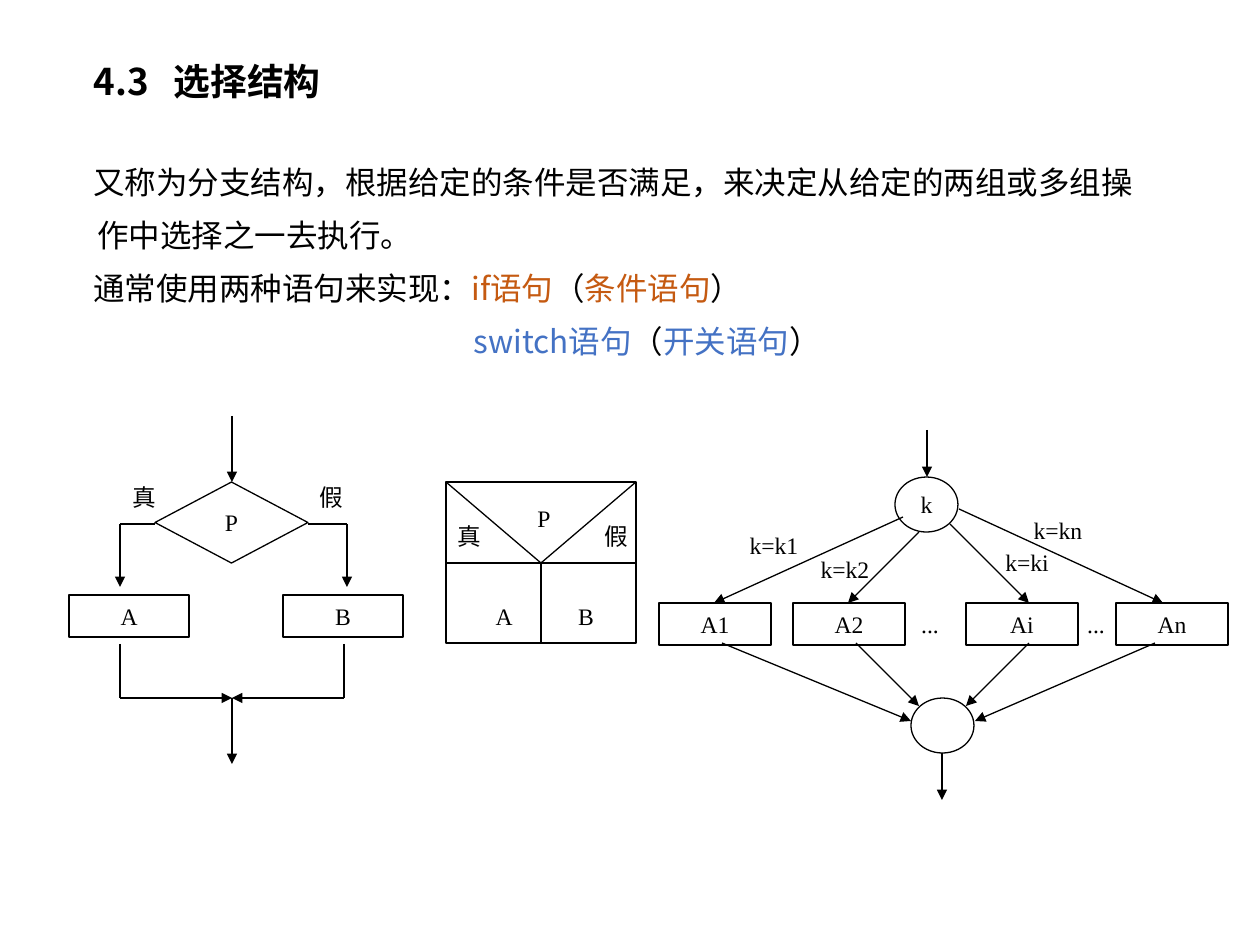
"""Builds the slide on selection structures with its three flow diagrams."""
from dataclasses import dataclass

from lxml import etree
from pptx import Presentation
from pptx.dml.color import RGBColor
from pptx.enum.shapes import MSO_CONNECTOR, MSO_SHAPE
from pptx.enum.text import MSO_ANCHOR, MSO_AUTO_SIZE, PP_ALIGN
from pptx.oxml.ns import qn
from pptx.util import Emu, Pt

RECT = MSO_SHAPE.RECTANGLE
DECISION = MSO_SHAPE.FLOWCHART_DECISION
CIRCLE = MSO_SHAPE.FLOWCHART_CONNECTOR
STRAIGHT = MSO_CONNECTOR.STRAIGHT
MIDDLE, TOP = MSO_ANCHOR.MIDDLE, MSO_ANCHOR.TOP
LEFT, CENTER = PP_ALIGN.LEFT, PP_ALIGN.CENTER
NO_FIT = MSO_AUTO_SIZE.NONE

SANS = "Noto Sans CJK SC"
SERIF = "Times New Roman"
COLORS = {"ink": "000000", "paper": "FFFFFF", "if": "C55A11", "switch": "4472C4"}
SLIDE_W, SLIDE_H = 1260, 945
BOX_H = 42
Point = tuple[int, int]


@dataclass
class Node:
    kind: MSO_SHAPE
    x: int
    y: int
    w: int
    h: int
    text: str = ""


@dataclass
class Label:
    text: str
    x: int
    y: int
    w: int = 44


@dataclass
class Line:
    start: Point
    end: Point
    arrow: bool = False


@dataclass
class Branch:
    name: str
    x: int
    label_at: Point
    start: Point
    top: int
    bottom: int
    end: Point


@dataclass
class BodyLine:
    runs: list[tuple[str, str]]
    margin: int = 4
    indent: int = -4


BODY = [
    BodyLine([("又称为分支结构，根据给定的条件是否满足，来决定从给定的两组或多组操作中选择之一去执行。", "ink")]),
    BodyLine([("通常使用两种语句来实现：", "ink"), ("if语句", "if"), ("（", "ink"),
              ("条件语句", "if"), ("）", "ink")]),
    BodyLine([("switch语句", "switch"), ("（", "ink"), ("开关语句", "switch"), ("）", "ink")], 380, 0),
]
BRANCHES = [
    Branch("A1", 659, (737, 524), (903, 517), 714, 722, (911, 721)),
    Branch("A2", 793, (808, 548), (919, 532), 848, 856, (919, 706)),
    Branch("Ai", 966, (990, 541), (950, 524), 1029, 1029, (966, 706)),
    Branch("An", 1116, (1021, 509), (959, 509), 1163, 1155, (975, 721)),
]
NODES = [
    Node(DECISION, 155, 482, 153, 81, "P"),
    Node(RECT, 69, 595, 120, BOX_H, "A"),
    Node(RECT, 283, 595, 120, BOX_H, "B"),
    Node(RECT, 446, 482, 190, 161),
    Node(CIRCLE, 895, 477, 63, 55, "k"),
    Node(CIRCLE, 911, 698, 63, 55),
] + [Node(RECT, b.x, 603, 112, BOX_H, b.name) for b in BRANCHES]
LINES = [
    Line((232, 416), (232, 482), True),
    Line((155, 524), (120, 524)),
    Line((120, 524), (120, 587), True),
    Line((308, 524), (347, 524)),
    Line((347, 524), (347, 587), True),
    Line((120, 644), (120, 698)),
    Line((344, 644), (344, 698)),
    Line((120, 698), (232, 698), True),
    Line((344, 698), (232, 698), True),
    Line((232, 698), (232, 764), True),
    Line((446, 482), (541, 563)),
    Line((541, 563), (636, 482)),
    Line((446, 563), (636, 563)),
    Line((541, 563), (541, 643)),
    Line((927, 430), (927, 477), True),
    Line((942, 753), (942, 800), True),
]
for branch in BRANCHES:
    LINES += [Line(branch.start, (branch.top, 603), True),
              Line((branch.bottom, 643), branch.end, True)]
LABELS = [
    Label("真", 122, 476), Label("假", 309, 476),
    Label("P", 522, 497), Label("真", 447, 515), Label("假", 594, 515),
    Label("A", 482, 595), Label("B", 564, 595),
    Label("...", 908, 603), Label("...", 1074, 603),
] + [Label(f"k={b.name.lower().replace('a', 'k')}", *b.label_at, 74) for b in BRANCHES]


def px(n: int) -> Emu:
    return Emu(round(n * 914400 / 126))


def rgb(name: str) -> RGBColor:
    return RGBColor.from_string(COLORS[name])


def style(p, size: float, font: str, align=LEFT) -> None:
    p.alignment = align
    p.font.size = Pt(size)
    p.font.name = font
    p.font.color.rgb = rgb("ink")
    props = p._p.get_or_add_pPr().get_or_add_defRPr()
    etree.SubElement(props, qn("a:ea")).set("typeface", SANS)


def set_caption(sp, text: str) -> None:
    tf = sp.text_frame
    tf.margin_left = tf.margin_right = tf.margin_top = tf.margin_bottom = 0
    tf.vertical_anchor = MIDDLE
    tf.word_wrap = False
    p = tf.paragraphs[0]
    p.text = text
    style(p, 13.5, SERIF, CENTER)


def add_node(slide, node: Node) -> None:
    sp = slide.shapes.add_shape(node.kind, px(node.x), px(node.y), px(node.w), px(node.h))
    sp.shadow.inherit = False
    sp.fill.solid()
    sp.fill.fore_color.rgb = rgb("paper")
    sp.line.color.rgb = rgb("ink")
    sp.line.width = Pt(0.75)
    if node.text:
        set_caption(sp, node.text)


def add_line(slide, line: Line) -> None:
    sp = slide.shapes.add_connector(STRAIGHT, *map(px, line.start + line.end))
    sp.line.color.rgb = rgb("ink")
    sp.line.width = Pt(0.75)
    if line.arrow:
        etree.SubElement(sp.line._get_or_add_ln(), qn("a:tailEnd")).set("type", "triangle")
    etree.SubElement(sp._element.spPr, qn("a:effectLst"))


def add_label(slide, label: Label) -> None:
    sp = slide.shapes.add_textbox(px(label.x), px(label.y), px(label.w), px(BOX_H))
    set_caption(sp, label.text)


def add_title(slide, text: str) -> None:
    sp = slide.shapes.title
    sp.left, sp.top, sp.width, sp.height = map(px, (81, 52, 364, 59))
    tf = sp.text_frame
    tf.auto_size = NO_FIT
    tf.vertical_anchor = TOP
    p = tf.paragraphs[0]
    p.text = text
    style(p, 21, SANS)
    p.font.bold = True
    tabs = etree.Element(qn("a:tabLst"))
    etree.SubElement(tabs, qn("a:tab"), pos=str(px(80)), algn="l")
    p._p.pPr.defRPr.addprevious(tabs)


def add_body(slide, lines: list[BodyLine]) -> None:
    tf = slide.shapes.add_textbox(px(81), px(142), px(1091), px(224)).text_frame
    tf.word_wrap = True
    for i, line in enumerate(lines):
        p = tf.add_paragraph() if i else tf.paragraphs[0]
        style(p, 18, SANS)
        p.line_spacing = 1.4
        p._p.pPr.set("marL", str(px(line.margin)))
        p._p.pPr.set("indent", str(px(line.indent)))
        for text, color in line.runs:
            r = p.add_run()
            r.text = text
            r.font.color.rgb = rgb(color)


def main() -> None:
    prs = Presentation()
    prs.slide_width, prs.slide_height = px(SLIDE_W), px(SLIDE_H)
    slide = prs.slides.add_slide(prs.slide_layouts[5])
    add_title(slide, "4.3\t选择结构")
    add_body(slide, BODY)
    for node in NODES:
        add_node(slide, node)
    for line in LINES:
        add_line(slide, line)
    for label in LABELS:
        add_label(slide, label)
    prs.save("out.pptx")


if __name__ == "__main__":
    main()
